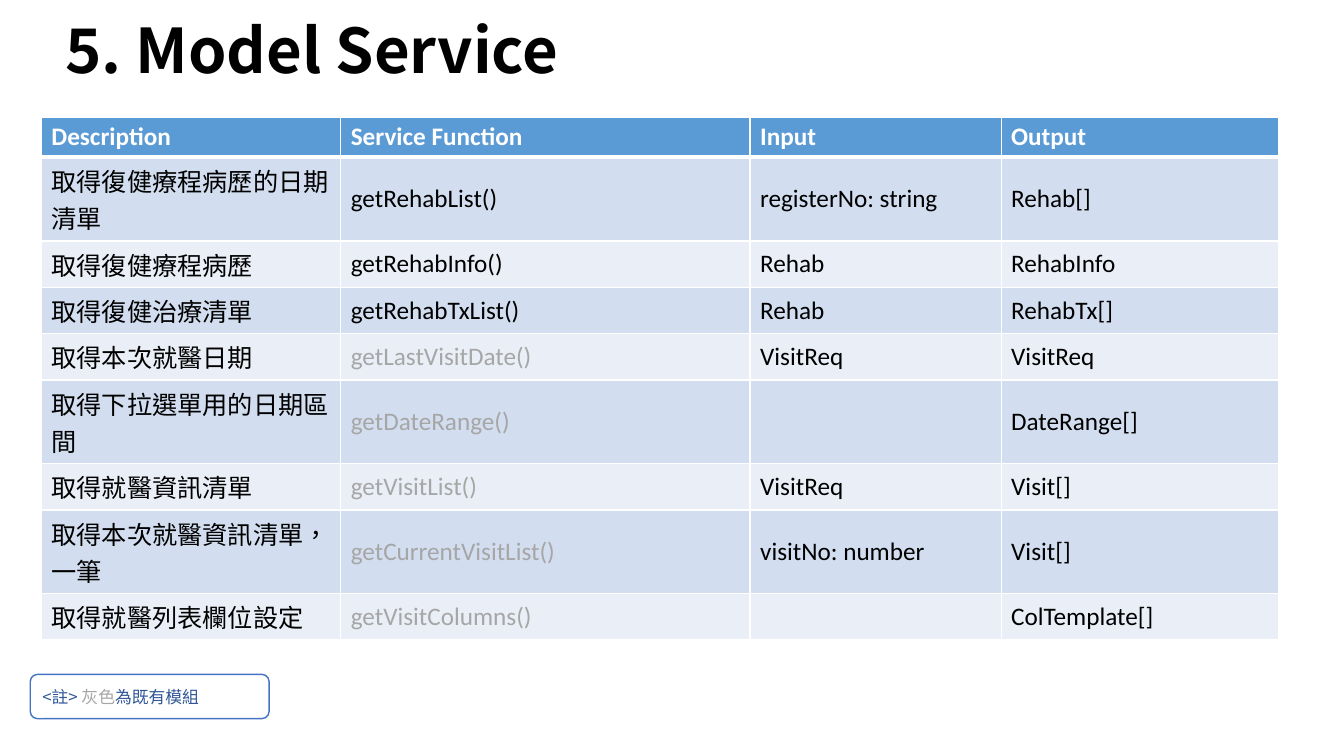
from lxml import etree
from pptx import Presentation
from pptx import util as u
from pptx.dml.color import RGBColor
from pptx.enum import shapes, text
from pptx.oxml import ns

SANS, CJK = "Calibri", "Noto Sans CJK SC"
BLACK, WHITE, GRAY, NAVY = "000000", "FFFFFF", "A6A6A6", "2F5597"


def color(value):
    return RGBColor.from_string(value)


def add_text(frame, words, size=18, font=SANS, fill=BLACK, bold=False):
    frame.word_wrap = True
    frame.vertical_anchor = text.MSO_ANCHOR.MIDDLE
    para = frame.paragraphs[0]
    para.alignment = text.PP_ALIGN.LEFT
    span = para.add_run()
    span.text = words
    span.font.size = u.Pt(size)
    span.font.bold = bold
    span.font.color.rgb = color(fill)
    span.font.name = font
    # East Asian letters take their own typeface entry and language
    east_asian = etree.SubElement(span.font._element, ns.qn("a:ea"))
    east_asian.set("typeface", font)
    span.font._element.set("lang", "zh-TW")
    return para


deck = Presentation()
deck.slide_width, deck.slide_height = u.Inches(13.33), u.Inches(7.5)
page = deck.slides.add_slide(deck.slide_layouts[6])

# Title
title = page.shapes.add_textbox(u.Inches(0.55), u.Inches(0.14), u.Inches(12.17), u.Inches(0.78))
add_text(title.text_frame, "5. Model Service", size=44, font=CJK, bold=True).line_spacing = 0.9

# Service table: existing modules have gray function names
headings = ["Description", "Service Function", "Input", "Output"]
services = [
    ("取得復健療程病歷的日期清單", "getRehabList()", "registerNo: string", "Rehab[]"),
    ("取得復健療程病歷", "getRehabInfo()", "Rehab", "RehabInfo"),
    ("取得復健治療清單", "getRehabTxList()", "Rehab", "RehabTx[]"),
    ("取得本次就醫日期", "getLastVisitDate()", "VisitReq", "VisitReq"),
    ("取得下拉選單用的日期區間", "getDateRange()", "", "DateRange[]"),
    ("取得就醫資訊清單", "getVisitList()", "VisitReq", "Visit[]"),
    ("取得本次就醫資訊清單，一筆", "getCurrentVisitList()", "visitNo: number", "Visit[]"),
    ("取得就醫列表欄位設定", "getVisitColumns()", "", "ColTemplate[]"),
]
first_existing_row = 4
letters_per_line = 11
header_height, one_line, two_lines = 0.4, 0.46, 0.83
rows = [headings, *services]
heights = [header_height] + [
    two_lines if len(service[0]) > letters_per_line else one_line for service in services]
table = page.shapes.add_table(
    len(rows), len(headings), u.Inches(0.41), u.Inches(1.16),
    u.Inches(12.27), u.Inches(sum(heights))).table
for column, width in zip(table.columns, [2.97, 4.06, 2.49, 2.75]):
    column.width = u.Inches(width)
for table_row, height in zip(table.rows, heights):
    table_row.height = u.Inches(height)

for row_index, row in enumerate(rows):
    header = row_index == 0
    for column_index, words in enumerate(row):
        cell = table.cell(row_index, column_index)
        cell.vertical_anchor = text.MSO_ANCHOR.MIDDLE
        cell.fill.solid()
        band = "D2DEEF" if row_index % 2 else "EAEFF7"
        cell.fill.fore_color.rgb = color("5B9BD5" if header else band)
        existing = column_index == 1 and row_index >= first_existing_row
        if words:
            add_text(cell.text_frame, words, bold=header,
                     font=CJK if column_index == 0 and not header else SANS,
                     fill=WHITE if header else GRAY if existing else BLACK)

        # White cell borders, thick under the header
        properties = cell._tc.get_or_add_tcPr()
        for place, side in enumerate(["lnL", "lnR", "lnT", "lnB"]):
            thick = (header and side == "lnB") or (row_index == 1 and side == "lnT")
            border = etree.Element(ns.qn("a:" + side), w=str(u.Pt(3 if thick else 1)))
            paint = etree.SubElement(border, ns.qn("a:solidFill"))
            etree.SubElement(paint, ns.qn("a:srgbClr"), val=WHITE)
            properties.insert(place, border)

# Note on the gray names
note = page.shapes.add_shape(
    shapes.MSO_SHAPE.ROUNDED_RECTANGLE,
    u.Inches(0.3), u.Inches(6.69), u.Inches(2.37), u.Inches(0.44))
note.shadow.inherit = False
note.fill.solid()
note.fill.fore_color.rgb = color(WHITE)
note.line.color.rgb = color("4472C4")
note.line.width = u.Pt(1)
for words, fill in [("<註> ", NAVY), ("灰色", GRAY), ("為既有模組", NAVY)]:
    add_text(note.text_frame, words, size=12, font=CJK, fill=fill)

deck.save("out.pptx")
